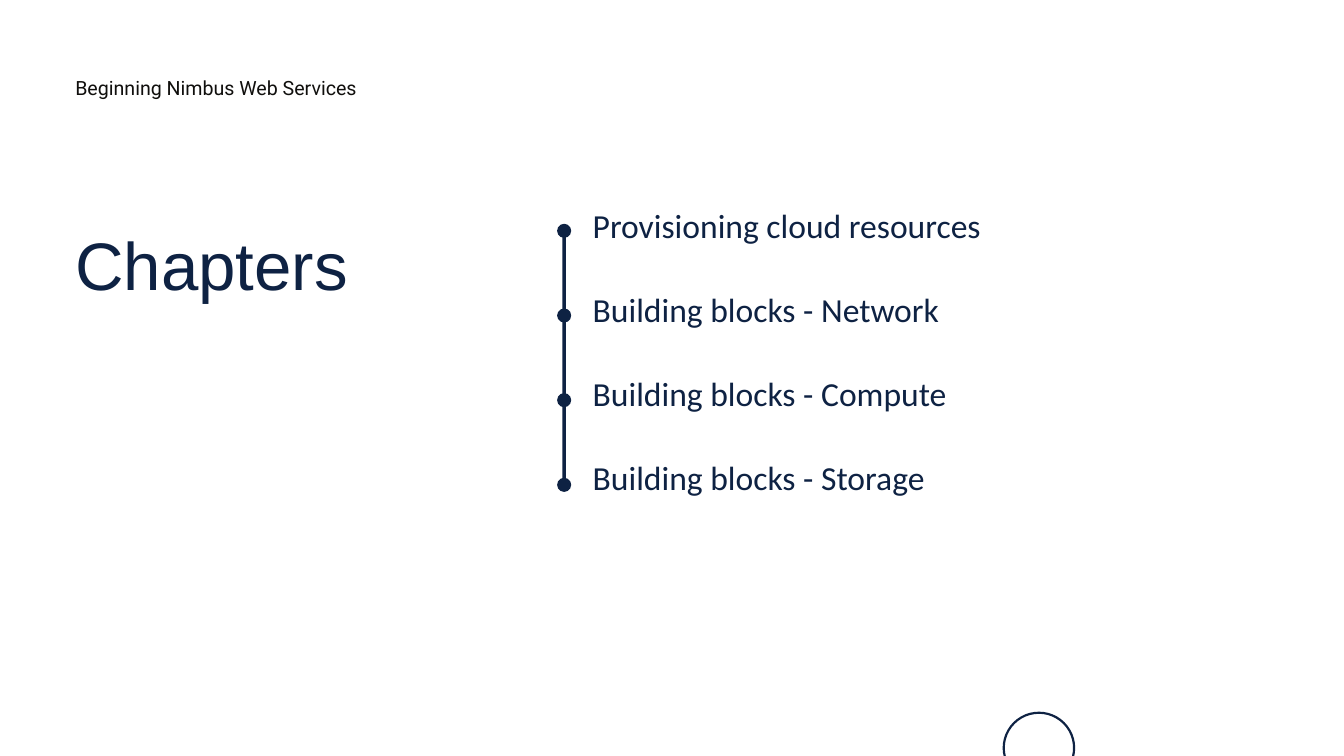
from pptx import Presentation
from pptx.dml.color import RGBColor
from pptx.enum.shapes import MSO_SHAPE
from pptx.enum.text import MSO_ANCHOR, MSO_AUTO_SIZE, PP_ALIGN
from pptx.util import Inches, Pt

NAVY = RGBColor(0x0E, 0x22, 0x43)
BLACK = RGBColor(0x10, 0x0F, 0x0D)

CHAPTERS = [
    "Provisioning cloud resources",
    "Building blocks - Network",
    "Building blocks - Compute",
    "Building blocks - Storage",
]
DOT_TOP, DOT_STEP, DOT_SIZE = 3.33, 1.26, 0.21
LABEL_TOP, LABEL_STEP = 3.28, 1.25


def place(item, left, top, width, height):
    item.left, item.top = Inches(left), Inches(top)
    item.width, item.height = Inches(width), Inches(height)


def write_text(box, text, font, size, color, spacing):
    frame = box.text_frame
    frame.word_wrap = True
    frame.auto_size = MSO_AUTO_SIZE.NONE
    frame.vertical_anchor = MSO_ANCHOR.TOP
    frame.margin_left = frame.margin_right = 0
    frame.margin_top = frame.margin_bottom = 0
    para = frame.paragraphs[0]
    para.alignment = PP_ALIGN.LEFT
    para.line_spacing = Pt(spacing)
    span = para.add_run()
    span.text = text
    span.font.name = font
    span.font.size = Pt(size)
    span.font.color.rgb = color


def add_title(page, text):
    title = page.shapes.title
    place(title, 1.12, 3.33, 5.89, 1.21)
    write_text(title, text, "Arial", 72, NAVY, 86.4)


def add_label(page, text, bounds, font, size, color, spacing):
    box = page.shapes.add_textbox(*map(Inches, bounds))
    write_text(box, text, font, size, color, spacing)


def add_solid(page, kind, left, top, width, height):
    shape = page.shapes.add_shape(
        kind, Inches(left), Inches(top), Inches(width), Inches(height)
    )
    shape.shadow.inherit = False
    shape.fill.solid()
    shape.fill.fore_color.rgb = NAVY
    shape.line.fill.background()
    return shape


def add_timeline(page):
    add_solid(page, MSO_SHAPE.RECTANGLE, 8.37, 3.43, 0.05, 3.88)
    for index, chapter in enumerate(CHAPTERS):
        dot_top = DOT_TOP + index * DOT_STEP
        add_solid(page, MSO_SHAPE.OVAL, 8.29, dot_top, DOT_SIZE, DOT_SIZE)
        bounds = (8.82, LABEL_TOP + index * LABEL_STEP, 9.46, 0.43)
        add_label(page, chapter, bounds, "Calibri", 36, NAVY, 27)


def add_ring(page):
    ring = add_solid(page, MSO_SHAPE.DONUT, 14.92, 10.59, 1.08, 1.08)
    ring.adjustments[0] = 0.03


def main():
    deck = Presentation()
    deck.slide_width, deck.slide_height = Inches(20), Inches(11.25)
    page = deck.slides.add_slide(deck.slide_layouts[5])
    add_title(page, "Chapters")
    add_label(page, "Beginning Nimbus Web Services", (1.12, 1.07, 4.62, 0.39),
              "Roboto", 21, BLACK, 29.4)
    add_timeline(page)
    add_ring(page)
    deck.save("out.pptx")


if __name__ == "__main__":
    main()
